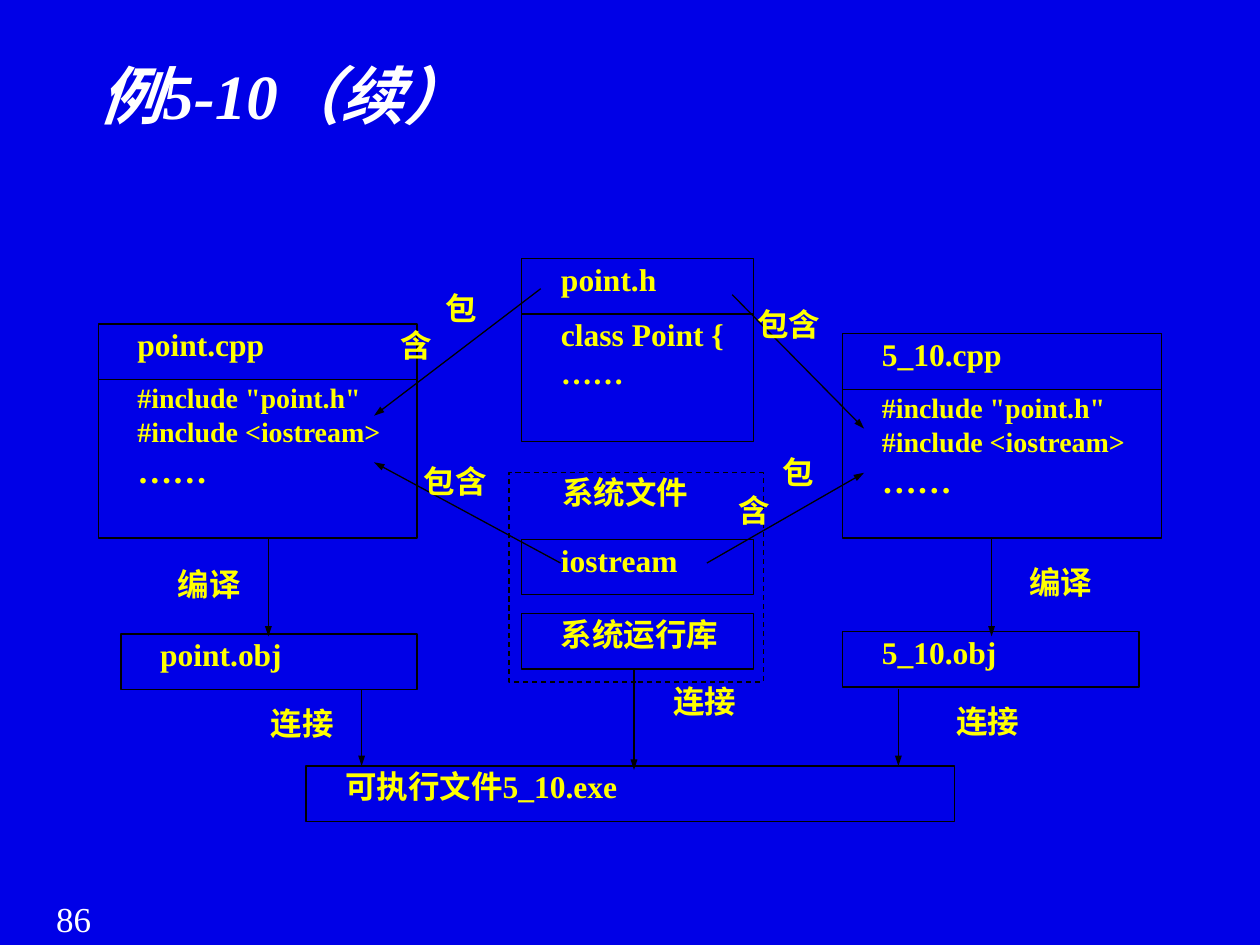
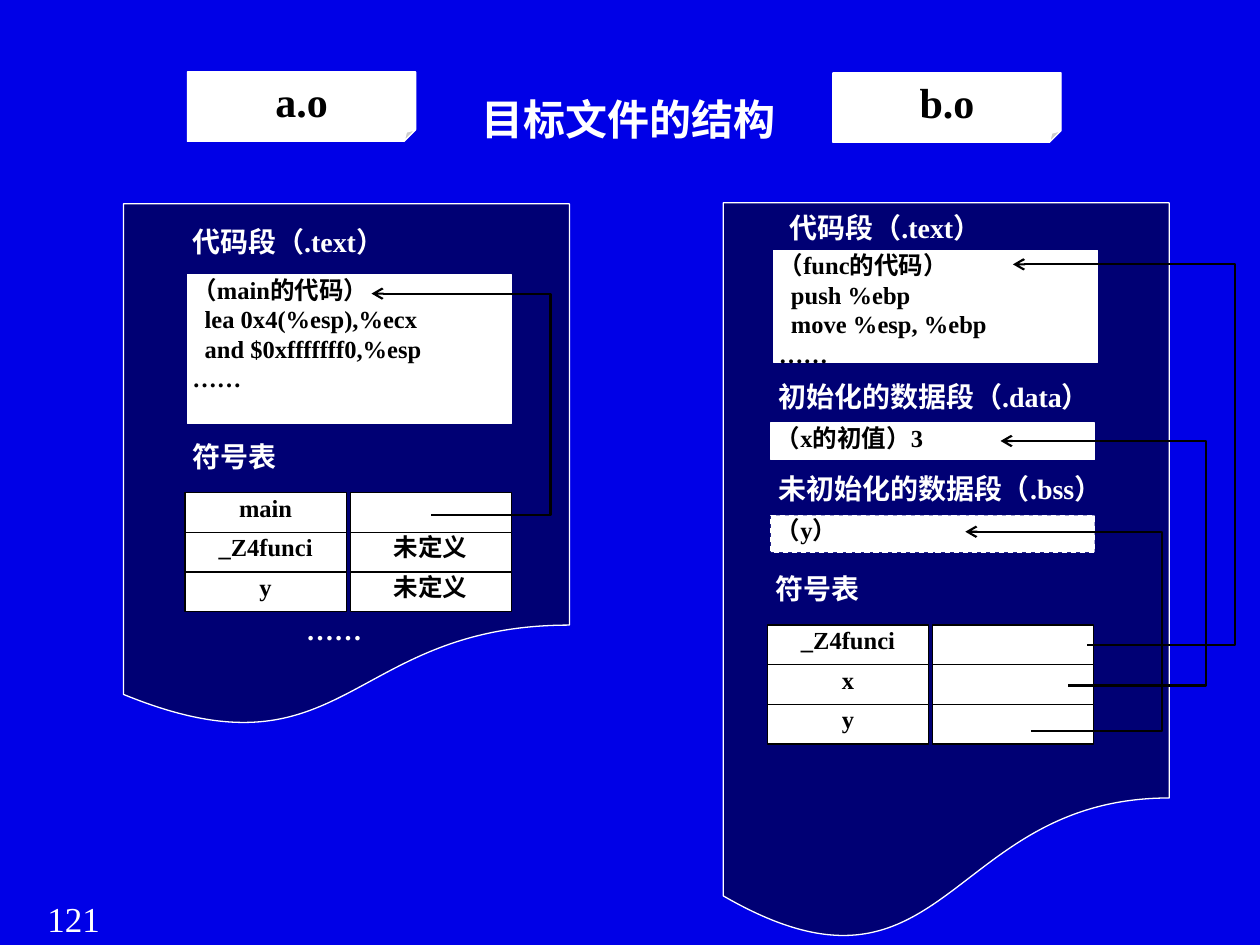
from dataclasses import dataclass

from lxml import etree
from pptx import Presentation
from pptx.dml.color import RGBColor
from pptx.enum import dml, shapes, text
from pptx.oxml import ns
from pptx.util import Cm, Pt

SHAPE = shapes.MSO_SHAPE
ALIGN = text.PP_ALIGN
ANCHOR = text.MSO_ANCHOR


@dataclass(frozen=True)
class Theme:
    font: str = "Times New Roman"
    blue: RGBColor = RGBColor(0x00, 0x00, 0xE7)
    navy: RGBColor = RGBColor(0x00, 0x00, 0x74)
    white: RGBColor = RGBColor(0xFF, 0xFF, 0xFF)
    black: RGBColor = RGBColor(0x00, 0x00, 0x00)
    yellow: RGBColor = RGBColor(0xFF, 0xFF, 0x00)
    title: int = 36
    heading: int = 24
    number: int = 20
    node: int = 18
    section: int = 16
    code: int = 14
    line: float = 0.75
    reference: float = 1.25


T = Theme()


# ---- Text ----
def write(sp, lines, size, color, align=ALIGN.LEFT, anchor=ANCHOR.TOP, inset=None,
          top=0, wrap=True, indent=0, bold=True, italic=False):
    """Fill a shape; a line is a string, or a (string, size) pair."""
    tf = sp.text_frame
    tf.word_wrap = wrap
    tf.auto_size = text.MSO_AUTO_SIZE.NONE
    tf.vertical_anchor = anchor
    if inset is not None:
        tf.margin_left = tf.margin_right = Cm(inset)
        tf.margin_top = tf.margin_bottom = Cm(top)
    for i, line in enumerate(lines):
        content, points = line if isinstance(line, tuple) else (line, size)
        p = tf.add_paragraph() if i else tf.paragraphs[0]
        p.alignment = align
        if indent:
            p._p.get_or_add_pPr().set("indent", str(Cm(indent)))
        r = p.add_run()
        r.text = content
        f = r.font
        f.name, f.size, f.bold, f.italic = T.font, Pt(points), bold, italic
        f.color.rgb = color


def add_text(s, x, y, w, h, lines, size, color, **style):
    sp = s.shapes.add_textbox(Cm(x), Cm(y), Cm(w), Cm(h))
    write(sp, lines, size, color, **style)


def set_title(s, x, y, w, h, content, size, **style):
    sp = s.shapes.title
    sp.left, sp.top, sp.width, sp.height = Cm(x), Cm(y), Cm(w), Cm(h)
    write(sp, [content], size, T.white, **style)
    return sp.text_frame.paragraphs[0]


# ---- Shapes and lines ----
def add_box(s, x, y, w, h, fill=None, line=T.black, kind=SHAPE.RECTANGLE, dashed=False):
    sp = s.shapes.add_shape(kind, Cm(x), Cm(y), Cm(w), Cm(h))
    sp.shadow.inherit = False
    if fill is None:
        sp.fill.background()
    else:
        sp.fill.solid()
        sp.fill.fore_color.rgb = fill
    sp.line.color.rgb = line
    sp.line.width = Pt(T.line)
    if dashed:
        sp.line.dash_style = dml.MSO_LINE.DASH
    return sp


def style_arrow(line, width, head, head_width="med"):
    line.color.rgb = T.black
    line.width = Pt(width)
    etree.SubElement(line._get_or_add_ln(), ns.qn("a:tailEnd"), type=head, w=head_width)


def add_arrow(s, start, end):
    ln = s.shapes.add_connector(shapes.MSO_CONNECTOR.STRAIGHT, *map(Cm, start + end))
    style_arrow(ln.line, T.line, "triangle", "sm")
    etree.SubElement(ln._element.spPr, ns.qn("a:effectLst"))


def new_slide(prs, number):
    s = prs.slides.add_slide(prs.slide_layouts[5])
    add_text(s, 0.43, 17.96, 2.11, 1.09, [number], T.number, T.white,
             align=ALIGN.CENTER, bold=False)
    return s


# ---- Build diagram ----
NODE_H = 1.12
NODE_STYLE = dict(inset=0.05, top=0.03, indent=0.74)


def add_node(s, x, y, w, content):
    write(add_box(s, x, y, w, NODE_H), [content], T.node, T.yellow, **NODE_STYLE)


def add_source(s, x, y, w, body_h, name, body):
    """A file: its name above its contents."""
    add_node(s, x, y, w, name)
    sp = add_box(s, x, y + NODE_H, w, body_h)
    write(sp, body, T.node, T.yellow, **NODE_STYLE)


def add_step(s, x, y, content, w=2.24, indent=0.74):
    add_text(s, x, y, w, 0.94, [content], T.node, T.yellow, inset=0.05, indent=indent)


def build_process_slide(prs):
    s = new_slide(prs, "86")
    set_title(s, 1.75, 1.02, 21.89, 3.68, "例5-10（续）", T.title, italic=True)

    # Source files
    includes = [('#include "point.h"', T.section), ("#include <iostream>", T.section),
                ("……", T.number)]
    add_source(s, 1.98, 6.53, 6.43, 3.2, "point.cpp", includes)
    add_source(s, 16.99, 6.73, 6.43, 3, "5_10.cpp", includes)
    add_source(s, 10.52, 5.21, 4.67, 2.57, "point.h", ["class Point {", "……"])

    # System files
    add_box(s, 10.26, 9.53, 5.13, 4.22, dashed=True)
    add_step(s, 10.39, 9.53, "系统文件", w=4.8, indent=0.9)
    add_node(s, 10.52, 10.87, 4.67, "iostream")
    add_node(s, 10.52, 12.37, 4.67, "系统运行库")

    # Object files and program
    add_node(s, 2.44, 12.78, 5.97, "point.obj")
    add_node(s, 16.99, 12.73, 5.97, "5_10.obj")
    add_node(s, 6.17, 15.44, 13.08, "可执行文件5_10.exe")

    # Include, compile and link arrows
    for start, end in [
        ((14.76, 5.94), (17.42, 8.64)), ((10.9, 5.82), (7.54, 8.38)),
        ((11.3, 11.35), (7.54, 9.32)), ((14.25, 11.35), (17.42, 9.53)),
        ((5.41, 10.85), (5.41, 12.83)), ((19.99, 10.85), (19.99, 12.83)),
        ((7.29, 13.89), (7.29, 15.44)), ((18.11, 13.89), (18.11, 15.44)),
        ((12.78, 13.51), (12.78, 15.52)),
    ]:
        add_arrow(s, start, end)

    # Step names; the deeper indent breaks the word along its arrow
    for x, y in [(8.03, 5.82), (14.83, 9.14)]:
        add_step(s, x, y, "包含", indent=0.9)
    for content, places in {
        "包含": [(14.48, 6.15), (7.75, 9.32)],
        "编译": [(2.79, 11.4), (19.96, 11.35)],
        "连接": [(4.67, 14.2), (12.78, 13.74), (18.49, 14.15)],
    }.items():
        for x, y in places:
            add_step(s, x, y, content)


# ---- Object file structure ----
TIGHT = dict(inset=0.1, wrap=False)
CELL_W, CELL_H, COL_STEP = 3.25, 0.8, 3.33
SEGMENT_W = 6.53


def add_object_file(s, x, y, h, name, tag_x, tag_y):
    add_box(s, x, y, 8.99, h, T.navy, T.white, SHAPE.FLOWCHART_DOCUMENT)
    tag = add_box(s, tag_x, tag_y, 4.6, 1.4, T.white, T.white, SHAPE.FOLDED_CORNER)
    write(tag, [name], T.heading, T.black, align=ALIGN.CENTER, anchor=ANCHOR.MIDDLE, **TIGHT)


def add_section(s, x, y, content, align=ALIGN.LEFT):
    add_text(s, x, y, CELL_W, CELL_H, [content], T.section, T.white, align=align, **TIGHT)


def add_segment(s, x, y, h, lines, dashed=False):
    sp = add_box(s, x, y, SEGMENT_W, h, T.white, T.white, dashed=dashed)
    write(sp, lines, T.code, T.black, **TIGHT)


def add_symbols(s, x, y, rows):
    """Two separate columns of cells: symbol and its definition."""
    for i, row in enumerate(rows):
        for j, content in enumerate(row):
            sp = add_box(s, x + j * COL_STEP, y + i * CELL_H, CELL_W, CELL_H, T.white)
            if content:
                write(sp, [content], T.code, T.black, align=ALIGN.CENTER, **TIGHT)


def add_reference(s, start, side_x, end):
    """One unbroken path from a symbol, out to the side and back to its definition."""
    corners = [(side_x, start[1]), (side_x, end[1]), end]
    fb = s.shapes.build_freeform(Cm(start[0]), Cm(start[1]))
    fb.add_line_segments([(Cm(x), Cm(y)) for x, y in corners], close=False)
    sp = fb.convert_to_shape()
    sp.shadow.inherit = False
    sp.fill.background()
    style_arrow(sp.line, T.reference, "arrow")


def build_object_slide(prs):
    s = new_slide(prs, "121")
    p = set_title(s, 9.42, 1.24, 6.5, 1.8, "目标文件的结构", T.heading,
                  align=ALIGN.CENTER, wrap=False)
    p.line_spacing = 1.5

    # a.o
    add_object_file(s, 2.49, 4.11, 10.59, "a.o", 3.78, 1.45)
    add_section(s, 3.78, 4.52, "代码段（.text）")
    add_segment(s, 3.78, 5.54, 3, ["（main的代码）", "  lea 0x4(%esp),%ecx",
                                   "  and $0xfffffff0,%esp", "……"])
    add_section(s, 3.78, 8.86, "符号表")
    add_symbols(s, 3.73, 9.93, [("main", ""), ("_Z4funci", "未定义"), ("y", "未定义")])
    add_section(s, 5.11, 12.34, "……", ALIGN.CENTER)

    # b.o
    add_object_file(s, 14.58, 4.09, 14.96, "b.o", 16.79, 1.47)
    add_section(s, 15.82, 4.24, "代码段（.text）")
    add_segment(s, 15.6, 5.05, 2.26, ["（func的代码）", "  push %ebp",
                                      "  move %esp, %ebp", "……"])
    add_section(s, 15.6, 7.65, "初始化的数据段（.data）")
    add_segment(s, 15.54, 8.53, 0.74, ["（x的初值）3"])
    add_section(s, 15.6, 9.5, "未初始化的数据段（.bss）")
    add_segment(s, 15.54, 10.39, 0.74, ["（y）"], dashed=True)
    add_section(s, 15.54, 11.53, "符号表")
    add_symbols(s, 15.47, 12.6, [("_Z4funci", ""), ("x", ""), ("y", "")])

    # References from symbols to definitions
    add_reference(s, (8.69, 10.39), 11.1, (7.49, 5.92))
    add_reference(s, (21.92, 13), 24.89, (20.42, 5.33))
    add_reference(s, (21.54, 13.82), 24.31, (20.17, 8.89))
    add_reference(s, (20.78, 14.73), 23.42, (19.46, 10.72))


def main():
    prs = Presentation()
    prs.slide_width, prs.slide_height = Cm(25.4), Cm(19.05)
    background = prs.slide_master.background.fill
    background.solid()
    background.fore_color.rgb = T.blue
    build_process_slide(prs)
    build_object_slide(prs)
    prs.save("out.pptx")


if __name__ == "__main__":
    main()
